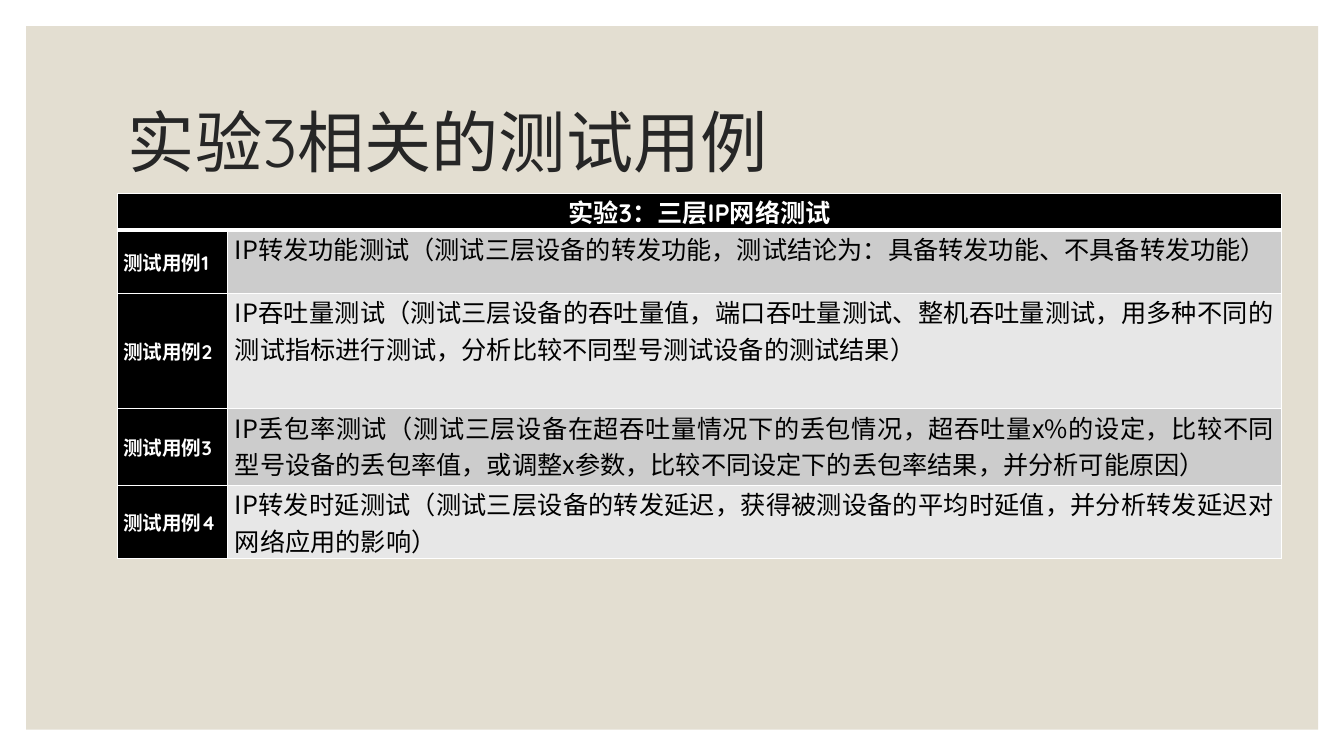
"""Build the slide that lists the test cases of experiment 3."""
from lxml import etree
from pptx import Presentation
from pptx.dml.color import RGBColor
from pptx.enum.shapes import MSO_SHAPE
from pptx.enum.text import MSO_ANCHOR, PP_ALIGN
from pptx.oxml.ns import qn
from pptx.util import Cm, Pt

RECTANGLE = MSO_SHAPE.RECTANGLE
MIDDLE, TOP = MSO_ANCHOR.MIDDLE, MSO_ANCHOR.TOP
LEFT, CENTER, JUSTIFY = PP_ALIGN.LEFT, PP_ALIGN.CENTER, PP_ALIGN.JUSTIFY
HEADING_FONT, BODY_FONT = "Quicksand", "Noto Sans CJK SC"
BLACK, WHITE = "000000", "FFFFFF"
BANDS = ["CCCCCC", "E7E7E7"]


def paint(color_format, color):
    color_format.rgb = RGBColor.from_string(color)


def style_text(frame, text, size, font_name, color, bold, align):
    frame.text = text
    frame.word_wrap = True
    paragraph = frame.paragraphs[0]
    paragraph.alignment = align
    font = paragraph.font
    font.size, font.bold, font.name = Pt(size), bold, font_name
    font.fill.solid()
    paint(font.fill.fore_color, color)
    defaults = paragraph._p.pPr.find(qn("a:defRPr"))
    etree.SubElement(defaults, qn("a:ea"), typeface=BODY_FONT)


heading = "实验3：三层IP网络测试"
test_cases = [
    "IP转发功能测试（测试三层设备的转发功能，测试结论为：具备转发功能、不具备转发功能）",
    "IP吞吐量测试（测试三层设备的吞吐量值，端口吞吐量测试、整机吞吐量测试，"
    "用多种不同的测试指标进行测试，分析比较不同型号测试设备的测试结果）",
    "IP丢包率测试（测试三层设备在超吞吐量情况下的丢包情况，超吞吐量x%的设定，"
    "比较不同型号设备的丢包率值，或调整x参数，比较不同设定下的丢包率结果，并分析可能原因）",
    "IP转发时延测试（测试三层设备的转发延迟，获得被测设备的平均时延值，"
    "并分析转发延迟对网络应用的影响）",
]
column_widths = [2.77, 26.55]
row_heights = [0.33, 1.6, 2.9, 1.93, 1.6]

prs = Presentation()
prs.slide_width, prs.slide_height = Cm(33.87), Cm(19.05)
slide = prs.slides.add_slide(prs.slide_layouts[5])

backdrop = slide.shapes.add_shape(RECTANGLE, Cm(0.66), Cm(0.66), Cm(32.56), Cm(17.73))
backdrop.shadow.inherit = False
backdrop.fill.solid()
paint(backdrop.fill.fore_color, "E3DED1")
backdrop.line.fill.background()
slide.shapes._spTree.insert(2, backdrop._element)

title = slide.shapes.title
title.left, title.top, title.width, title.height = Cm(2.97), Cm(1.78), Cm(27.94), Cm(3.81)
title.text_frame.vertical_anchor = MIDDLE
style_text(title.text_frame, "实验3相关的测试用例", 48, HEADING_FONT, "262626", False, LEFT)
title.text_frame.paragraphs[0].line_spacing = 0.9

table_frame = slide.shapes.add_table(
    len(row_heights), len(column_widths), Cm(2.97), Cm(4.88), Cm(29.32), Cm(8.79))
table = table_frame.table
for column, width in zip(table.columns, column_widths):
    column.width = Cm(width)
for row, height in zip(table.rows, row_heights):
    row.height = Cm(height)
table_frame.height = Cm(8.79)
table.cell(0, 0).merge(table.cell(0, 1))

for row_index in range(len(row_heights)):
    for column_index in range(len(column_widths)):
        cell = table.cell(row_index, column_index)
        is_description = row_index > 0 and column_index == 1
        side_margin = 0.18 if is_description else 0.13
        cell.margin_left = cell.margin_right = Cm(side_margin)
        cell.margin_top = cell.margin_bottom = 0
        cell.vertical_anchor = MIDDLE if row_index and not is_description else TOP

        for side in "LRTB":
            under_heading = (row_index, side) in [(0, "B"), (1, "T")]
            border = etree.SubElement(cell._tc.get_or_add_tcPr(), qn(f"a:ln{side}"),
                                      w=str(Pt(3 if under_heading else 1)))
            border_fill = etree.SubElement(border, qn("a:solidFill"))
            etree.SubElement(border_fill, qn("a:srgbClr"), val=WHITE)

        cell.fill.solid()
        paint(cell.fill.fore_color, BANDS[(row_index - 1) % 2] if is_description else BLACK)

        if is_description:
            style_text(cell.text_frame, test_cases[row_index - 1], 18, BODY_FONT, BLACK, False, JUSTIFY)
        elif row_index:
            style_text(cell.text_frame, f"测试用例{row_index}", 14, HEADING_FONT, WHITE, True, JUSTIFY)
        elif not cell.is_spanned:
            style_text(cell.text_frame, heading, 18, HEADING_FONT, WHITE, True, CENTER)

prs.save("out.pptx")
